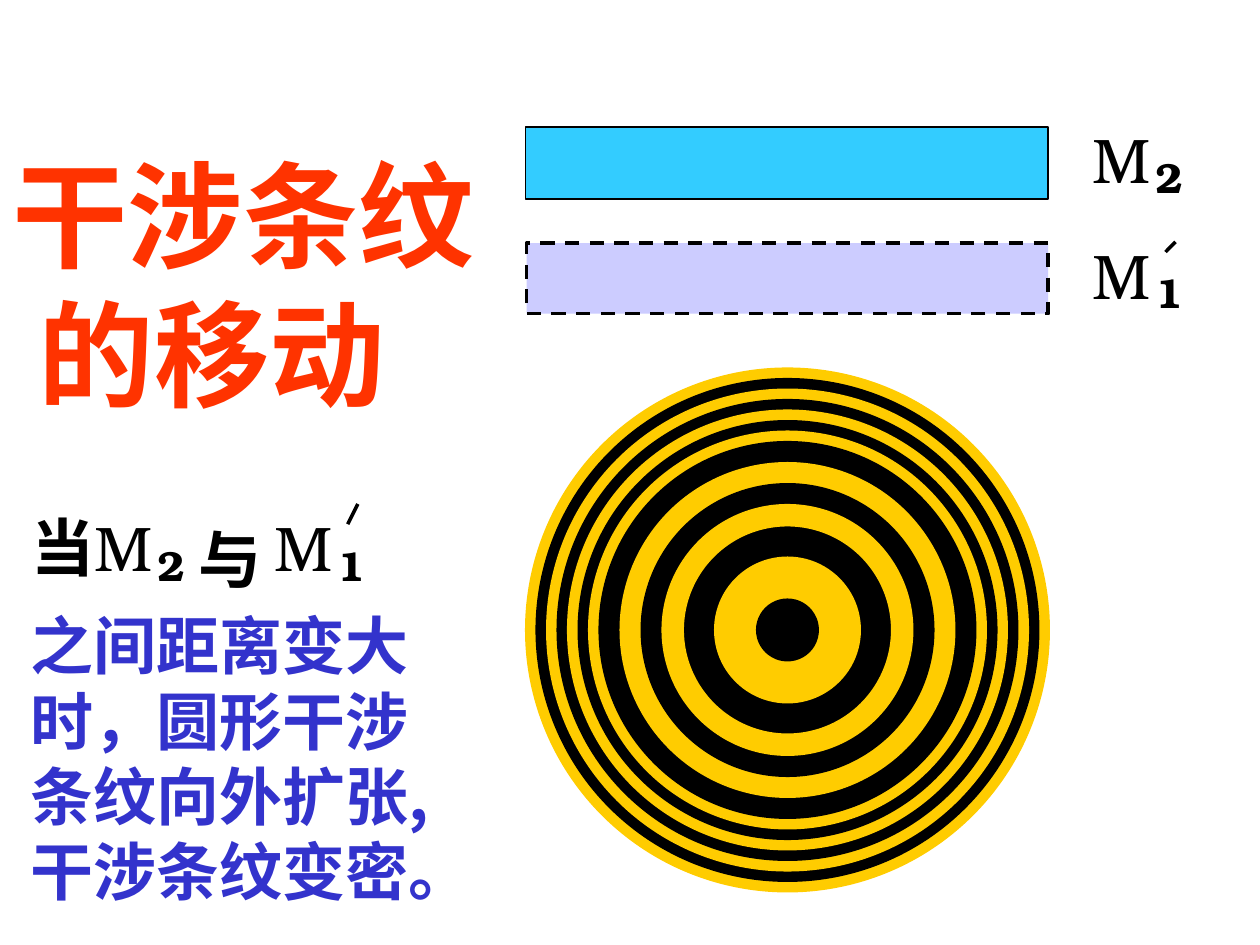
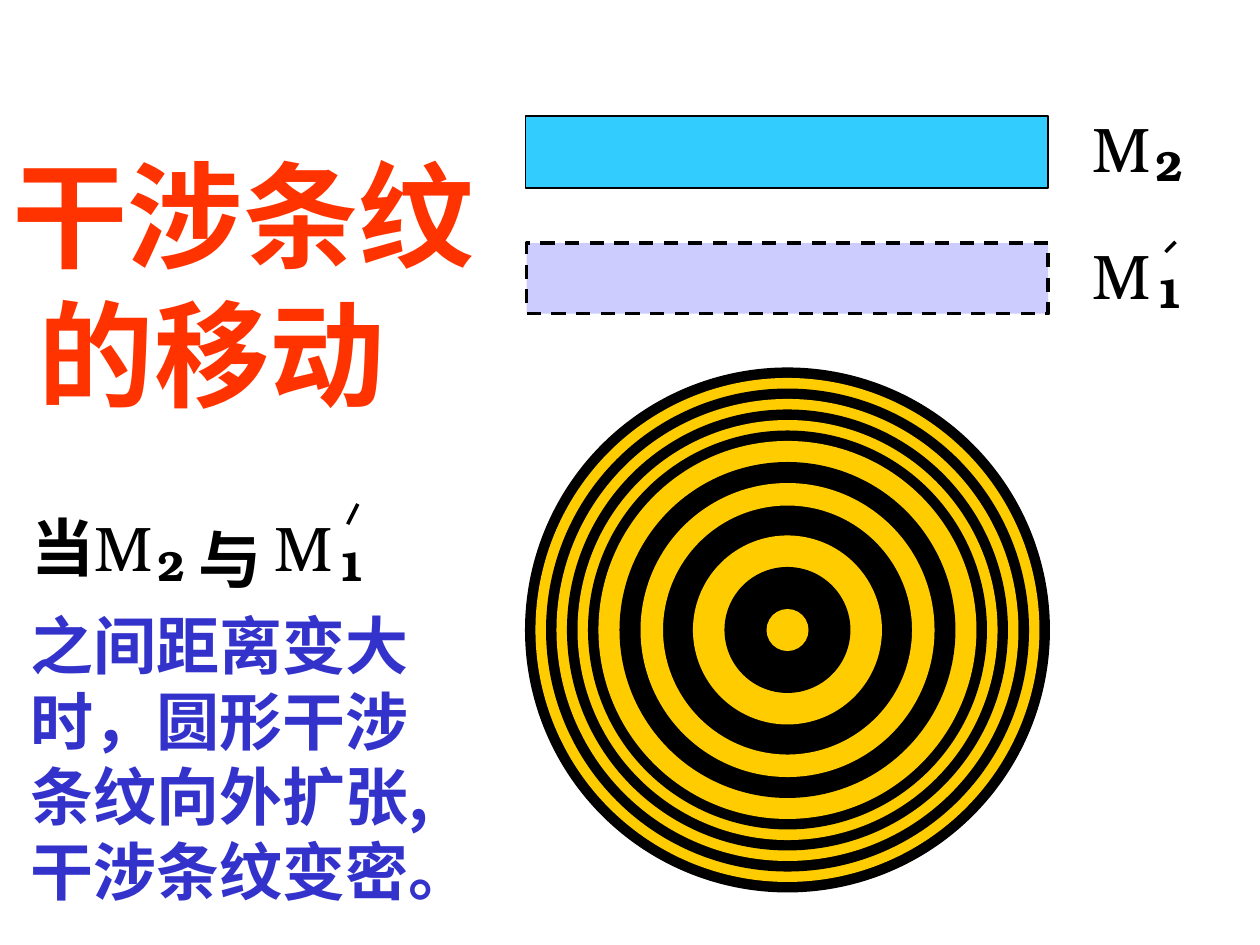
from pptx import Presentation
from pptx import util as u
from pptx.dml import color as col
from pptx.enum import dml, shapes, text
from pptx.oxml import ns
from lxml import etree

SERIF = "TeX Gyre Bonum"
SANS = "Noto Sans CJK SC"
BLACK, GOLD = "000000", "FFCC00"
CYAN, LILAC = "33CCFF", "CCCCFF"
RED, BLUE = "FF3300", "3333CC"

# Ring diameters in sixths of an inch, from the outside in
OUTER = list(range(25, 17, -1)) + [16, 14, 12]
MID = (6.25, 5)


def rgb(code):
    return col.RGBColor.from_string(code)


def put_text(slide, words, left, top, wide, high, size=36, font=SERIF,
             color=BLACK, bold=False, pitch=None):
    box = slide.shapes.add_textbox(*map(u.Inches, (left, top, wide, high)))
    frame = box.text_frame
    frame.word_wrap = False
    frame.vertical_anchor = text.MSO_ANCHOR.TOP
    for i, line in enumerate(words.split("\n")):
        para = frame.add_paragraph() if i else frame.paragraphs[0]
        if pitch:
            para.line_spacing = u.Pt(pitch)
        run = para.add_run()
        run.text = line
        run.font.size = u.Pt(size)
        run.font.bold = bold
        run.font.name = font
        run.font.color.rgb = rgb(color)
        # East Asian glyphs follow the same font name
        east = etree.SubElement(run.font._element, ns.qn("a:ea"))
        east.set("typeface", font)


def put_shape(slide, kind, left, top, wide, high, fill, line=None, width=1, dash=None):
    item = slide.shapes.add_shape(kind, *map(u.Inches, (left, top, wide, high)))
    item.shadow.inherit = False
    item.fill.solid()
    item.fill.fore_color.rgb = rgb(fill)
    if line:
        item.line.color.rgb = rgb(line)
        item.line.width = u.Pt(width)
        item.line.dash_style = dash
    else:
        item.line.fill.background()


def put_prime(slide, *ends):
    mark = slide.shapes.add_connector(shapes.MSO_CONNECTOR.STRAIGHT, *map(u.Inches, ends))
    mark.line.color.rgb = rgb(BLACK)
    mark.line.width = u.Pt(2)
    etree.SubElement(mark._element.spPr, ns.qn("a:effectLst"))


def put_label(slide, digit, left, top):
    """Mirror symbol M with its lowered index."""
    put_text(slide, "M", left, top, 0.66, 0.7)
    put_text(slide, digit, left + 0.5, top + 0.24, 0.42, 0.5, size=24, bold=True)


def put_rings(slide, sizes, colors, edged):
    """Stack discs of alternating colour; one of them has a thin gold edge."""
    for i, size in enumerate(sizes):
        edge = GOLD if size == edged else None
        wide = size / 6 - (0.01 if edge else 0)
        put_shape(slide, shapes.MSO_SHAPE.OVAL, MID[0] - wide / 2, MID[1] - wide / 2,
                  wide, wide, colors[i % 2], line=edge)


def put_mirrors(slide, top):
    rect = shapes.MSO_SHAPE.RECTANGLE
    put_shape(slide, rect, 4.17, top, 4.15, 0.57, CYAN, line=BLACK)
    put_shape(slide, rect, 4.18, 1.93, 4.14, 0.56, LILAC, line=BLACK, width=2,
              dash=dml.MSO_LINE.DASH)
    put_label(slide, "2", 8.57, top - 0.1)
    put_label(slide, "1", 8.57, 1.83)
    put_prime(slide, 9.33, 1.92, 9.25, 2)


def put_notes(slide):
    # Condition line
    put_text(slide, "当", 0.15, 3.99, 0.7, 0.7, bold=True)
    put_label(slide, "2", 0.65, 3.99)
    put_label(slide, "1", 2.08, 3.99)
    put_prime(slide, 2.84, 4, 2.76, 4.16)
    put_text(slide, "与", 1.48, 4.08, 0.7, 0.7, bold=True)
    # Explanation and title
    put_text(slide, "之间距离变大\n时，圆形干涉\n条纹向外扩张,\n干涉条纹变密。",
             0.14, 4.77, 3.7, 2.5, font=SANS, color=BLUE, bold=True, pitch=43)
    put_text(slide, "干涉条纹\n 的移动", 0, 1.1, 3.87, 2.3, size=66, font=SANS,
             color=RED, bold=True, pitch=79)


def main():
    deck = Presentation()
    deck.slide_width, deck.slide_height = u.Inches(10), u.Inches(7.5)
    # Each state: inner rings, colours from outside, edged ring, upper mirror top
    states = [
        ([10, 7, 3], (GOLD, BLACK), 10, 1.01),
        ([9, 6, 2], (BLACK, GOLD), 12, 0.92),
    ]
    for inner, colors, edged, top in states:
        slide = deck.slides.add_slide(deck.slide_layouts[6])
        put_rings(slide, OUTER + inner, colors, edged)
        put_mirrors(slide, top)
        put_notes(slide)
    deck.save("out.pptx")


if __name__ == "__main__":
    main()
